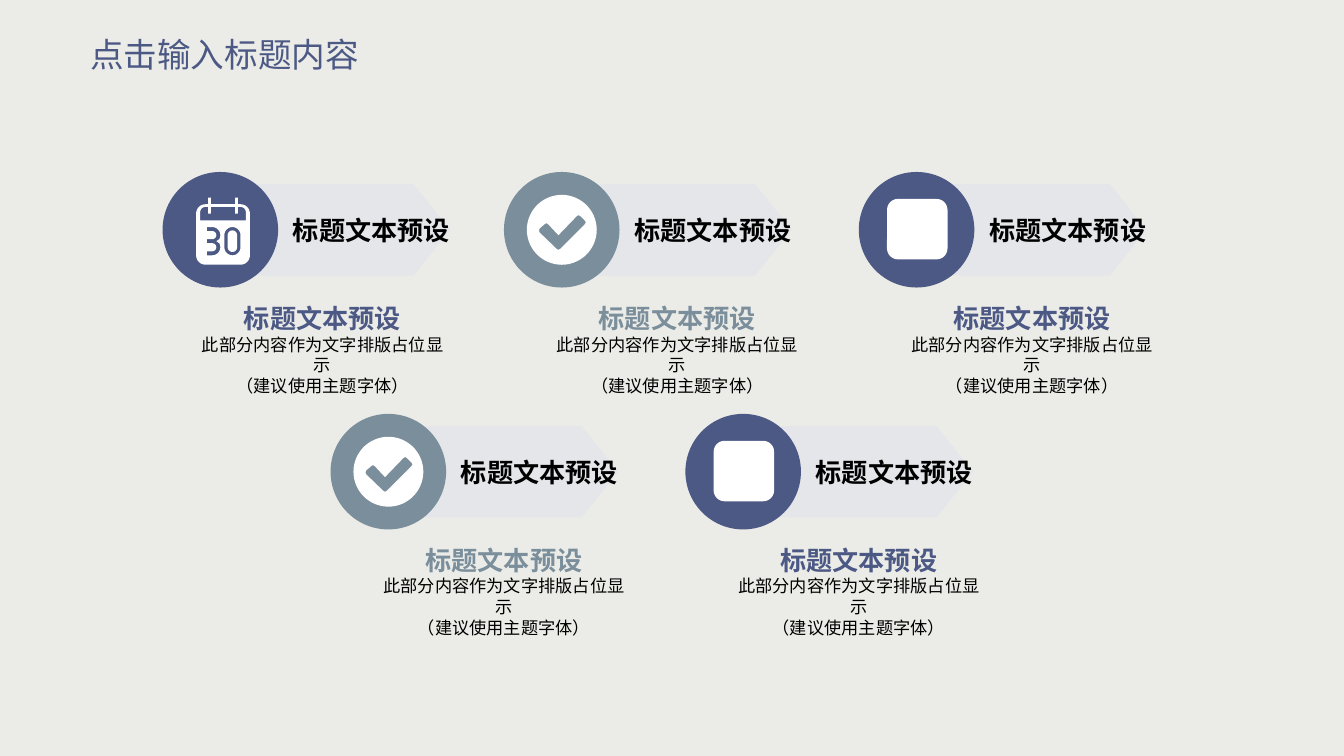
from math import cos, radians, sin

from pptx import Presentation
from pptx.dml.color import RGBColor
from pptx.enum.shapes import MSO_SHAPE
from pptx.enum.text import MSO_ANCHOR, PP_ALIGN
from pptx.util import Inches, Pt

FONT = "Noto Sans CJK SC"
NAVY, SLATE, PALE = "4D5985", "7B8E9B", "E4E6EA"
WHITE, BLACK, BACKGROUND = "FFFFFF", "000000", "EBECE7"
LABEL = "标题文本预设"
BODY = "此部分内容作为文字排版占位显示\v（建议使用主题字体）"


def color(value):
    return RGBColor.from_string(value)


def paint(shape, fill):
    shape.fill.solid()
    shape.fill.fore_color.rgb = color(fill)
    shape.line.fill.background()
    shape.shadow.inherit = False


def add_preset(shapes, kind, left, top, width, height, fill):
    shape = shapes.add_shape(kind, Inches(left), Inches(top), Inches(width), Inches(height))
    paint(shape, fill)
    return shape


def write(shape, text, size, text_color, bold=False, align=PP_ALIGN.LEFT,
          insets=(0, 0, 0, 0), wrap=False):
    frame = shape.text_frame
    left, top, right, bottom = (Inches(inset) for inset in insets)
    settings = {"margin_left": left, "margin_top": top, "margin_right": right,
                "margin_bottom": bottom, "word_wrap": wrap,
                "vertical_anchor": MSO_ANCHOR.MIDDLE}
    for name, value in settings.items():
        setattr(frame, name, value)
    paragraph = frame.paragraphs[0]
    paragraph.text = text
    paragraph.alignment = align
    for run in paragraph.runs:
        for name, value in {"name": FONT, "size": Pt(size), "bold": bold}.items():
            setattr(run.font, name, value)
        run.font.color.rgb = color(text_color)


def add_text(shapes, left, top, width, height, text, size, text_color, **options):
    box = shapes.add_textbox(Inches(left), Inches(top), Inches(width), Inches(height))
    write(box, text, size, text_color, **options)


# Icon outlines, in hundredths of an inch
def arc(x, y, radius, start, end, steps=12):
    angles = [radians(start + (end - start) * i / steps) for i in range(steps + 1)]
    return [(x + radius * cos(a), y + radius * sin(a)) for a in angles]


def rounded(left, top, right, bottom, radius):
    return (arc(left + radius, top + radius, radius, 180, 270)
            + arc(right - radius, top + radius, radius, 270, 360)
            + arc(right - radius, bottom - radius, radius, 0, 90)
            + arc(left + radius, bottom - radius, radius, 90, 180))


def pins(base, tip):
    return [point for x in (9, 29)
            for point in ((x, base), (x, tip), (x + 2, tip), (x + 2, base))]


def add_icon(shapes, left, top, outlines):
    builder = None
    for outline in outlines:
        points = [(Inches(x / 100), Inches(y / 100)) for x, y in outline]
        if builder is None:
            builder = shapes.build_freeform(*points[0], scale=1.0)
        else:
            builder.move_to(*points[0])
        builder.add_line_segments(points[1:], close=True)
    paint(builder.convert_to_shape(Inches(left), Inches(top)), WHITE)


def add_calendar(shapes, left, top):
    page = (arc(7, 12, 7, 180, 270) + pins(5, 0) + arc(33, 12, 7, 270, 360)
            + arc(33, 43, 7, 0, 90) + arc(7, 43, 7, 90, 180))
    header = (arc(7, 11, 4, 180, 270) + pins(7, 12) + arc(33, 11, 4, 270, 360)
              + [(37, 17), (3, 17)])
    three = ([(8, 22)] + arc(12, 28, 6, -90, 30) + [(15, 32.5)]
             + arc(12, 37, 6, -30, 90) + [(8, 43), (8, 40)]
             + arc(12, 37, 3, 90, -90) + [(8, 34), (8, 31)]
             + arc(12, 28, 3, 90, -90) + [(8, 25)])
    zero = [rounded(21, 22, 33, 43, 6), rounded(23.5, 24.5, 30.5, 40.5, 3.5)]
    add_icon(shapes, left + 0.25, top + 0.19, [page, header, three, *zero])


def add_check(shapes, left, top):
    tick = [(43, 22), (25, 40), (23.5, 41), (22, 40), (9.5, 28), (9, 26.5), (9.5, 25),
            (13, 22), (14.5, 21), (16, 22), (23.5, 30), (37, 16), (38.5, 15), (40, 16),
            (43, 19), (44, 20.5)]
    add_icon(shapes, left + 0.17, top + 0.17, [arc(26, 26, 26, 0, 360, 60), tick])


def add_tile(shapes, left, top):
    tile = add_preset(shapes, MSO_SHAPE.ROUNDED_RECTANGLE,
                      left + 0.21, top + 0.2, 0.45, 0.45, WHITE)
    tile.adjustments[0] = 0.18


def add_item(slide, left, top, accent, draw_icon, nudge=0):
    shapes = slide.shapes.add_group_shape().shapes
    badge = left + nudge
    # Arrow label
    arrow = add_preset(shapes, MSO_SHAPE.PENTAGON, badge + 0.7, top + 0.09, 1.44, 0.68, PALE)
    arrow.adjustments[0] = 0.4
    write(arrow, LABEL, 14, BLACK, bold=True, insets=(0.27, 0.05, 0.1, 0.05))
    # Badge with icon
    add_preset(shapes, MSO_SHAPE.OVAL, badge, top, 0.86, 0.86, accent)
    draw_icon(shapes, badge, top)
    # Caption
    add_text(shapes, left + 0.38, top + 0.97, 1.82, 0.23, LABEL, 14, accent,
             bold=True, align=PP_ALIGN.CENTER)
    add_text(shapes, left + 0.38, top + 1.2, 1.82, 0.47, BODY, 9.2, BLACK,
             align=PP_ALIGN.CENTER, wrap=True)


def add_title(slide, left, top, width, height):
    add_text(slide.shapes, left, top, width, height, "点击输入标题内容", 18, NAVY,
             insets=(0, 0.05, 0, 0.05), wrap=True)


def main():
    presentation = Presentation()
    presentation.slide_width = Inches(10)
    presentation.slide_height = Inches(10 * 9 / 16)
    slide = presentation.slides.add_slide(presentation.slide_layouts[6])
    slide.background.fill.solid()
    slide.background.fill.fore_color.rgb = color(BACKGROUND)

    # Two rows of items with a shared column step
    step = 2.64
    rows = [
        (1.11, 1.28, [(NAVY, add_calendar, 0.1), (SLATE, add_check, 0), (NAVY, add_tile, 0)]),
        (2.46, 3.08, [(SLATE, add_check, 0), (NAVY, add_tile, 0)]),
    ]
    for left, top, items in rows:
        for column, (accent, draw_icon, nudge) in enumerate(items):
            add_item(slide, left + column * step, top, accent, draw_icon, nudge)

    add_title(slide, 0.67, 0.19, 2.33, 0.42)
    presentation.save("out.pptx")


if __name__ == "__main__":
    main()
